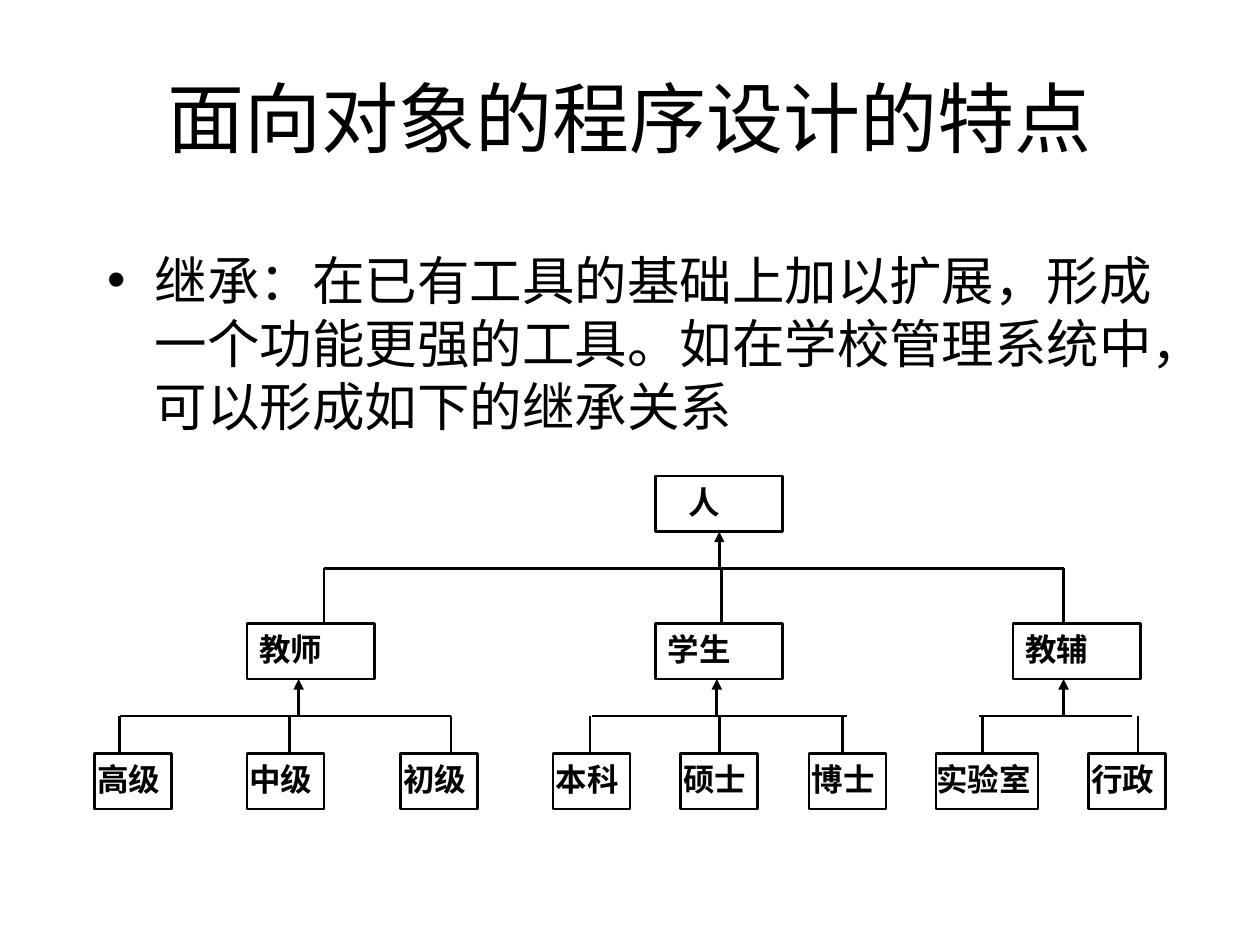
from pptx import Presentation
from pptx import util as u
from pptx.dml.color import RGBColor
from pptx.enum import shapes, text
from pptx.oxml.ns import qn
from lxml import etree

COLORS = {"ink": "000000", "paper": "FFFFFF"}
INK = RGBColor.from_string(COLORS["ink"])
LINE_WIDTH = u.Pt(1.5)


def format_text(p, font, size, bold=False):
    for r in p.runs:
        r.font.name, r.font.size, r.font.bold = font, u.Pt(size), bold
        r.font.color.rgb = INK


def add_line(s, x1, y1, x2, y2, arrow=False):
    line = s.shapes.add_connector(shapes.MSO_CONNECTOR.STRAIGHT,
                                  u.Cm(x1), u.Cm(y1), u.Cm(x2), u.Cm(y2))
    line.line.color.rgb = INK
    line.line.width = LINE_WIDTH
    if arrow:
        etree.SubElement(line.line._get_or_add_ln(), qn("a:tailEnd"), type="triangle")
    etree.SubElement(line._element.spPr, qn("a:effectLst"))


prs = Presentation()
prs.slide_width, prs.slide_height = u.Cm(25.4), u.Cm(19.05)
s = prs.slides.add_slide(prs.slide_layouts[5])
s.background.fill.solid()
s.background.fill.fore_color.rgb = RGBColor.from_string(COLORS["paper"])

# Title
title = s.shapes.title
title.left, title.top, title.width, title.height = u.Cm(1.27), u.Cm(0.76), u.Cm(22.86), u.Cm(3.18)
tf = title.text_frame
tf.text = "面向对象的程序设计的特点"
tf.vertical_anchor = text.MSO_ANCHOR.MIDDLE
tf.paragraphs[0].alignment = text.PP_ALIGN.CENTER
format_text(tf.paragraphs[0], "Calibri", 44)

# Bulleted explanation
body = s.shapes.add_textbox(u.Cm(1.91), u.Cm(4.88), u.Cm(21.59), u.Cm(4.09))
tf = body.text_frame
tf.word_wrap = True
p = tf.paragraphs[0]
p.text = "继承：在已有工具的基础上加以扩展，形成一个功能更强的工具。如在学校管理系统中，可以形成如下的继承关系"
pPr = p._p.get_or_add_pPr()
pPr.set("marL", str(u.Cm(0.96)))
pPr.set("indent", str(-u.Cm(0.96)))
etree.SubElement(pPr, qn("a:buFont"), typeface="Arial")
etree.SubElement(pPr, qn("a:buChar"), char="•")
format_text(p, "Calibri", 30)

# Class boxes: (top, side inset, [(label, left, width, text indent)])
BOX_H = 1.12
ROOT_Y, CLASS_Y, LEAF_Y = 9.6, 12.57, 15.19
WIDE, NARROW, LAB = 2.57, 1.55, 2.06
levels = [
    (ROOT_Y, 0.25, [("人", 13.21, WIDE, 0.43)]),
    (CLASS_Y, 0.25, [("教师", 4.98, WIDE, 0), ("学生", 13.21, WIDE, 0),
                     ("教辅", 20.42, WIDE, 0)]),
    (LEAF_Y, 0.05, [("高级", 1.91, NARROW, 0), ("中级", 4.98, NARROW, 0),
                    ("初级", 8.08, NARROW, 0), ("本科", 11.15, NARROW, 0),
                    ("硕士", 13.72, NARROW, 0), ("博士", 16.31, NARROW, 0),
                    ("行政", 21.95, NARROW, 0)]),
    (LEAF_Y, 0, [("实验室", 18.87, LAB, 0)]),
]
for top, inset, boxes in levels:
    for label, left, width, indent in boxes:
        sp = s.shapes.add_shape(shapes.MSO_SHAPE.RECTANGLE,
                                u.Cm(left), u.Cm(top), u.Cm(width), u.Cm(BOX_H))
        sp.shadow.inherit = False
        sp.fill.background()
        sp.line.color.rgb = INK
        sp.line.width = LINE_WIDTH
        tf = sp.text_frame
        tf.word_wrap = True
        tf.vertical_anchor = text.MSO_ANCHOR.TOP
        tf.margin_left = tf.margin_right = u.Cm(inset)
        tf.margin_top = tf.margin_bottom = u.Cm(0.13)
        p = tf.paragraphs[0]
        p.text = label
        p.alignment = text.PP_ALIGN.JUSTIFY
        p._p.get_or_add_pPr().set("marL", str(u.Cm(indent)))
        format_text(p, "Times New Roman", 18, bold=True)

# Inheritance branches: (parent top, bar y, child top, bar ends, drops, arrow x)
branches = [
    (ROOT_Y, 11.46, CLASS_Y, (6.53, 21.44), (6.53, 14.55, 21.44), 14.5),
    (CLASS_Y, 14.43, LEAF_Y, (2.41, 9.09), (2.41, 5.84, 9.09), 6.02),
    (CLASS_Y, 14.43, LEAF_Y, (11.94, 17.07), (11.89, 14.5, 16.99), 14.45),
    (CLASS_Y, 14.43, LEAF_Y, (19.74, 22.81), (19.81, 22.94), 21.44),
]
for parent_y, bar_y, child_y, (left, right), drops, arrow_x in branches:
    add_line(s, left, bar_y, right, bar_y)
    for x in drops:
        add_line(s, x, bar_y, x, child_y)
    add_line(s, arrow_x, bar_y, arrow_x, parent_y + BOX_H, arrow=True)

prs.save("out.pptx")
